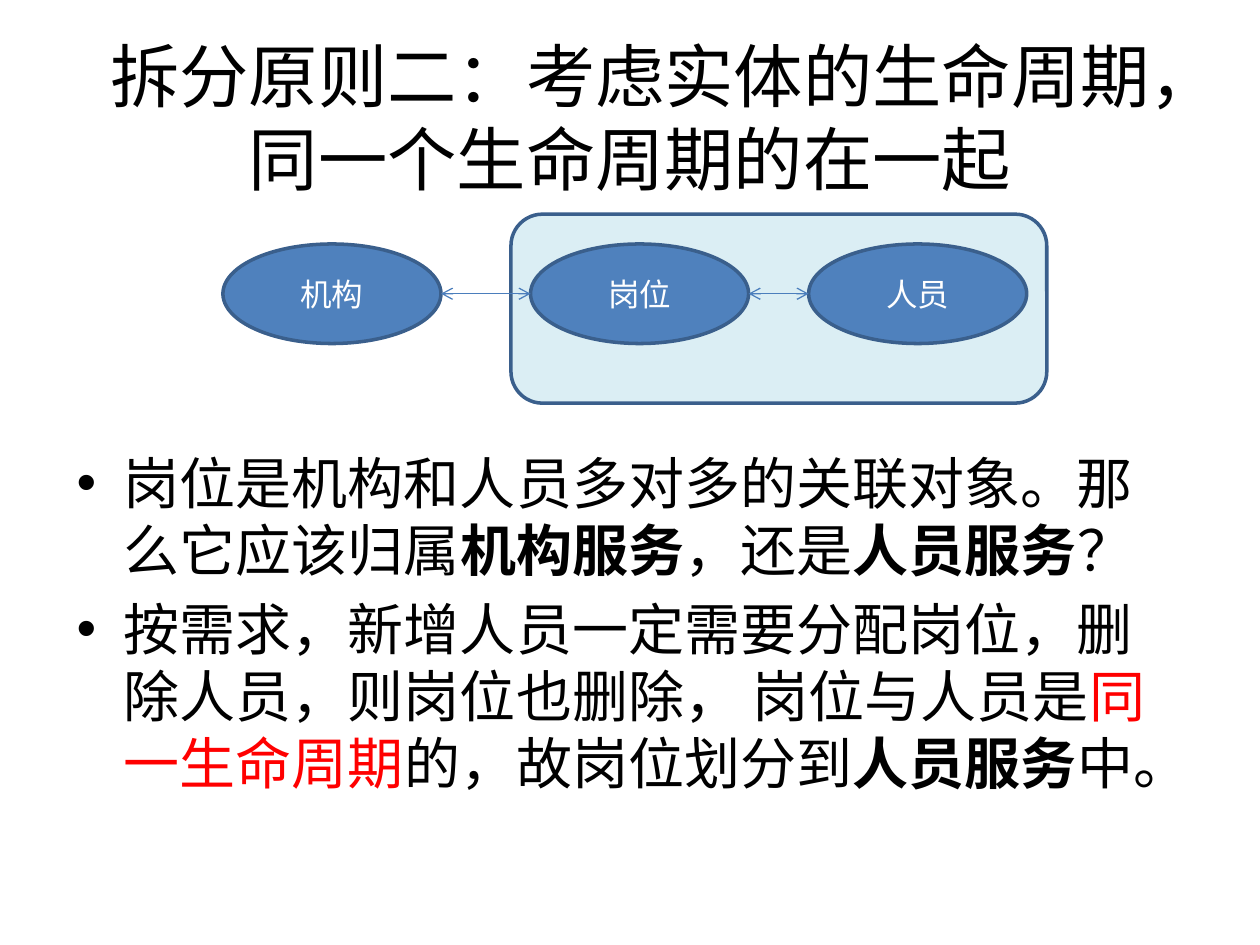
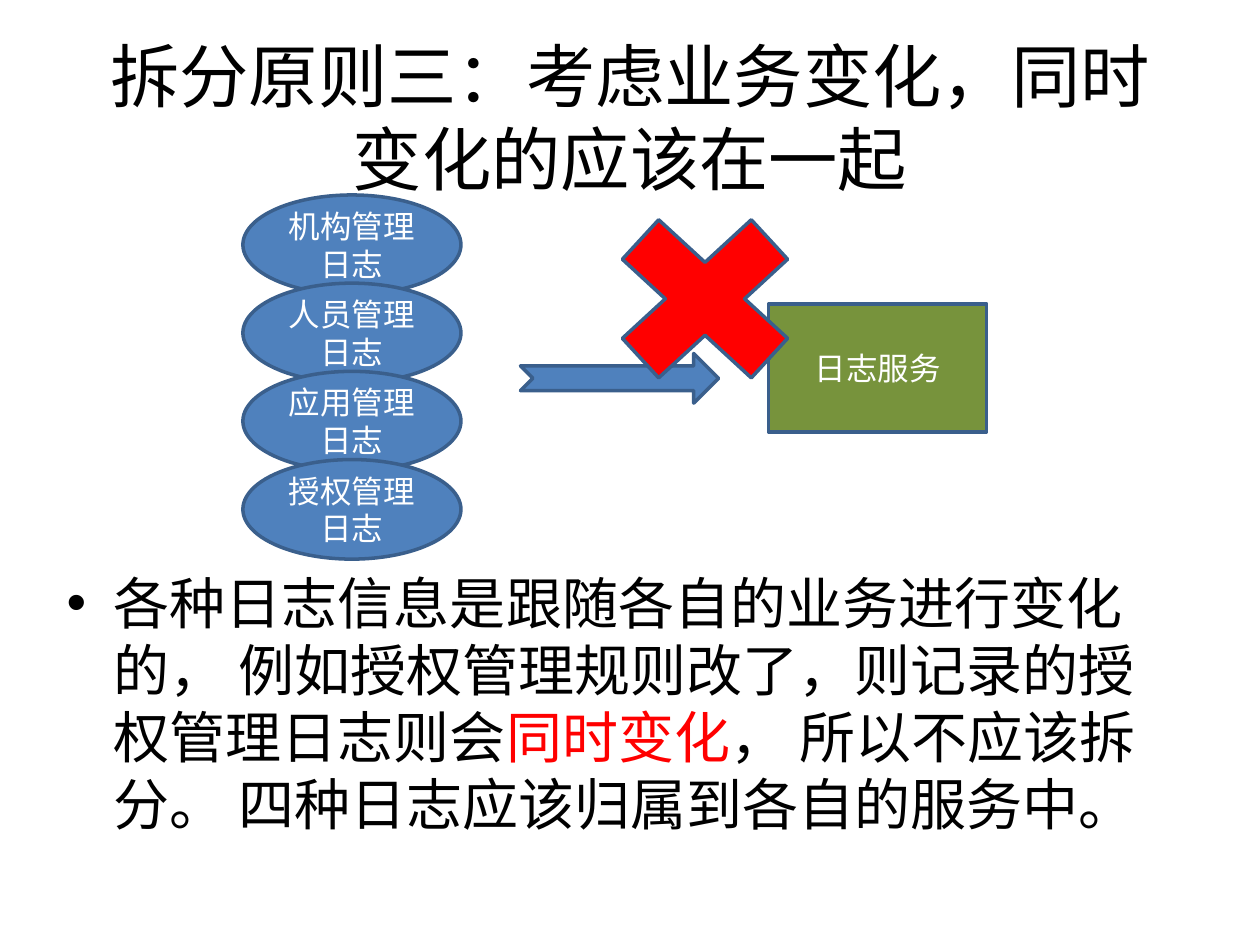
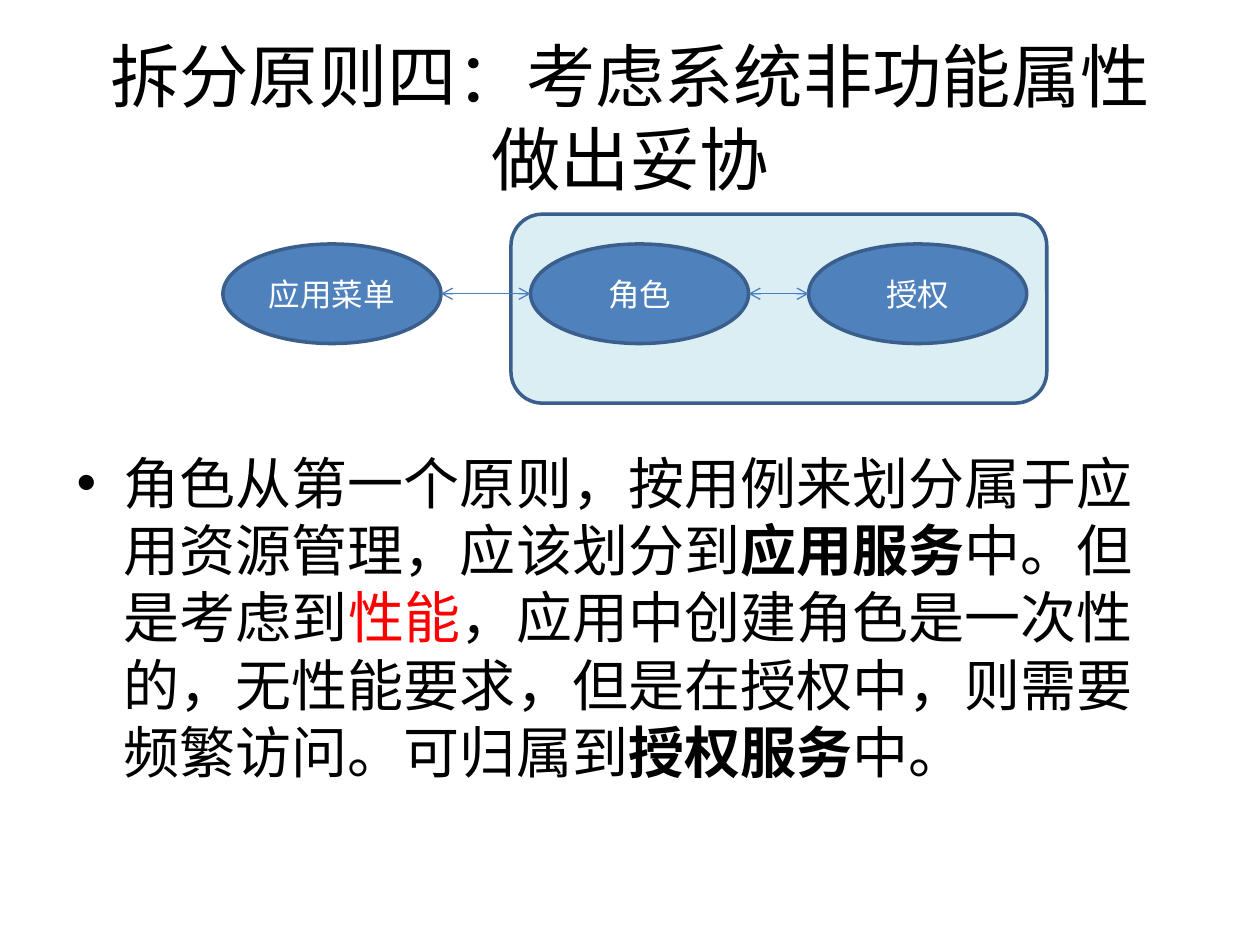
from pptx import Presentation
from pptx.dml.color import RGBColor
from pptx.enum.shapes import MSO_CONNECTOR, MSO_SHAPE
from pptx.enum.text import MSO_ANCHOR, MSO_AUTO_SIZE, PP_ALIGN
from pptx.oxml.ns import qn
from pptx.util import Pt
from lxml import etree

# Colours
BLACK = RGBColor(0x00, 0x00, 0x00)
WHITE = RGBColor(0xFF, 0xFF, 0xFF)
RED = RGBColor(0xFF, 0x00, 0x00)
BLUE = RGBColor(0x4F, 0x81, 0xBD)
EDGE = RGBColor(0x3A, 0x5F, 0x8C)
LINK = RGBColor(0x4B, 0x7E, 0xBC)
PALE = RGBColor(0xDB, 0xEE, 0xF4)
GREEN = RGBColor(0x77, 0x93, 0x3C)

FONT = "Calibri"
NODE_W, NODE_H = 124.6, 56.9  # size of every ellipse
BOLD = {"bold": True}
HOT = {"color": RED}


def add_text(para, text, size=32, color=BLACK, bold=False):
    """Add one formatted run to a paragraph."""
    run = para.add_run()
    run.text = text
    font = run.font
    font.name, font.size, font.bold = FONT, Pt(size), bold
    font.color.rgb = color


def place(shape, left, top, width, height):
    shape.left, shape.top = Pt(left), Pt(top)
    shape.width, shape.height = Pt(width), Pt(height)


def add_slide(deck, title):
    """Add a title-only slide with the shared title style."""
    slide = deck.slides.add_slide(deck.slide_layouts[5])
    head = slide.shapes.title
    place(head, 36, 21.6, 648, 90)
    frame = head.text_frame
    frame.auto_size = MSO_AUTO_SIZE.NONE
    frame.vertical_anchor = MSO_ANCHOR.MIDDLE
    para = frame.paragraphs[0]
    para.alignment = PP_ALIGN.CENTER
    add_text(para, title, size=39.6)
    return slide


def add_body(slide, left, top, height, items):
    """Add a bullet list; each item is a list of (text, format) parts."""
    box = slide.shapes.add_textbox(Pt(left), Pt(top), Pt(648), Pt(height))
    frame = box.text_frame
    frame.word_wrap = True
    for i, parts in enumerate(items):
        para = frame.add_paragraph() if i else frame.paragraphs[0]
        para.space_before = Pt(6.4)
        props = para._p.get_or_add_pPr()
        props.set("marL", str(Pt(27)))
        props.set("indent", str(Pt(-27)))
        etree.SubElement(props, qn("a:buFont")).set("typeface", "Arial")
        etree.SubElement(props, qn("a:buChar")).set("char", "•")
        for text, form in parts:
            add_text(para, text, **form)


def add_block(slide, kind, left, top, width, height, fill=BLUE, text=""):
    """Add an outlined shape, with a centred label if there is text."""
    shape = slide.shapes.add_shape(kind, Pt(left), Pt(top), Pt(width), Pt(height))
    shape.shadow.inherit = False
    shape.fill.solid()
    shape.fill.fore_color.rgb = fill
    shape.line.color.rgb = EDGE
    shape.line.width = Pt(2)
    if text:
        frame = shape.text_frame
        frame.word_wrap = True
        frame.vertical_anchor = MSO_ANCHOR.MIDDLE
        para = frame.paragraphs[0]
        para.alignment = PP_ALIGN.CENTER
        add_text(para, text, size=18, color=WHITE)


def add_node(slide, left, top, text):
    add_block(slide, MSO_SHAPE.OVAL, left, top, NODE_W, NODE_H, text=text)


def add_link(slide, start, end, level):
    """Add a level line with an open arrowhead at both ends."""
    link = slide.shapes.add_connector(
        MSO_CONNECTOR.STRAIGHT, Pt(start), Pt(level), Pt(end), Pt(level))
    link.line.color.rgb = LINK
    link.line.width = Pt(0.75)
    edge = link.line._get_or_add_ln()
    for tag in ("a:headEnd", "a:tailEnd"):
        etree.SubElement(edge, qn(tag)).set("type", "arrow")
    etree.SubElement(link._element.spPr, qn("a:effectLst"))


def add_chain(slide, names):
    """Draw three linked nodes, the last two inside one panel."""
    top = 139.4
    lefts = (127.4, 303.2, 462.1)
    add_block(slide, MSO_SHAPE.ROUNDED_RECTANGLE, 292, 122.4, 306.2, 108, fill=PALE)
    for left, name in zip(lefts, names):
        add_node(slide, left, top, name)
    for left, right in zip(lefts, lefts[1:]):
        add_link(slide, left + NODE_W, right, top + NODE_H / 2)


def add_logs(slide, names):
    """Draw the log stack, the service and the rejected arrow."""
    add_block(slide, MSO_SHAPE.RECTANGLE, 439.2, 173.6, 124.6, 73.4,
              fill=GREEN, text="日志服务")
    for i, name in enumerate(names):
        add_node(slide, 138.8, 111.4 + 50.4 * i, name)
    add_block(slide, MSO_SHAPE.NOTCHED_RIGHT_ARROW, 297.4, 202, 113.2, 28.4)
    add_block(slide, MSO_SHAPE.MATH_MULTIPLY, 332, 105.6, 141.8, 130.4, fill=RED)


def main():
    deck = Presentation()
    deck.slide_width, deck.slide_height = Pt(720), Pt(540)

    # Principle two: life cycle
    slide = add_slide(deck, "拆分原则二：考虑实体的生命周期，同一个生命周期的在一起")
    add_chain(slide, ("机构", "岗位", "人员"))
    add_body(slide, 36.7, 252.7, 248.4, [
        [("岗位是机构和人员多对多的关联对象。那么它应该归属", {}),
         ("机构服务", BOLD), ("，还是", {}), ("人员服务", BOLD), ("？", {})],
        [("按需求，新增人员一定需要分配岗位，删除人员，则岗位也删除， 岗位与人员是", {}),
         ("同一生命周期", HOT), ("的，故岗位划分到", {}),
         ("人员服务", BOLD), ("中。", {})],
    ])

    # Principle three: business change
    slide = add_slide(deck, "拆分原则三：考虑业务变化，同时变化的应该在一起")
    add_body(slide, 31, 321.1, 180.7, [
        [("各种日志信息是跟随各自的业务进行变化的， 例如授权管理规则改了，"
          "则记录的授权管理日志则会", {}),
         ("同时变化", HOT),
         ("， 所以不应该拆分。 四种日志应该归属到各自的服务中。", {})],
    ])
    add_logs(slide, ("机构管理日志", "人员管理日志", "应用管理日志", "授权管理日志"))

    # Principle four: non-functional needs
    slide = add_slide(deck, "拆分原则四：考虑系统非功能属性做出妥协")
    add_chain(slide, ("应用菜单", "角色", "授权"))
    add_body(slide, 36.7, 252.7, 248.4, [
        [("角色从第一个原则，按用例来划分属于应用资源管理，应该划分到", {}),
         ("应用服务", BOLD), ("中。但是考虑到", {}), ("性能", HOT),
         ("，应用中创建角色是一次性的，无性能要求，但是在授权中，"
          "则需要频繁访问。可归属到", {}),
         ("授权服务", BOLD), ("中。", {})],
    ])

    deck.save("out.pptx")


if __name__ == "__main__":
    main()
